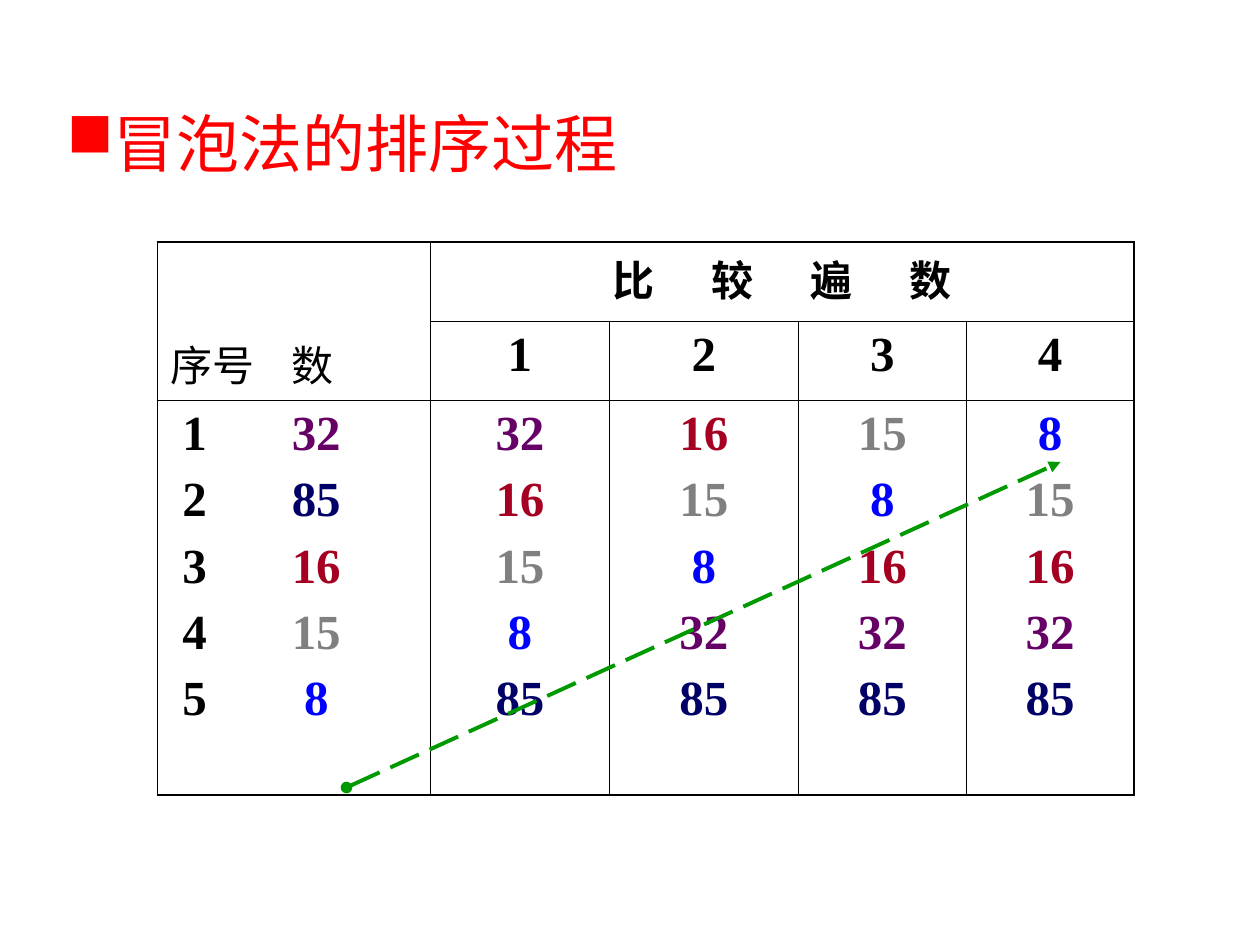
from dataclasses import dataclass, field
from typing import NamedTuple

from lxml import etree
from pptx import Presentation, util as u
from pptx.dml import color as col
from pptx.enum import dml, shapes, text as t
from pptx.oxml import ns


@dataclass(frozen=True)
class Theme:
    black: str = "000000"
    red: str = "FF0000"
    green: str = "009900"
    tints: dict = field(default_factory=lambda: {
        32: "660066", 85: "000066", 16: "A50021", 15: "808080", 8: "0000FF"})
    sans: str = "Roboto"
    serif: str = "Times New Roman"
    title: float = 36
    label: float = 24
    digit: float = 28
    outer: float = 1.08
    inner: float = 0.45


class Run(NamedTuple):
    text: str
    tint: str = "000000"
    gap: float = 0


class Cell(NamedTuple):
    row: int
    col: int
    lines: list
    form: dict
    high: int = 1
    wide: int = 1


THEME = Theme()
ALIGN = t.PP_ALIGN
ANCHOR = t.MSO_ANCHOR


def node(parent, tag: str, **attrs):
    return etree.SubElement(parent, ns.qn(tag), attrs)


def write(frame, lines: list, *, size: float, font: str = THEME.serif,
          bold: bool = False, align=ALIGN.LEFT, before: float = 0,
          tabs: tuple = (), bullet: str = "") -> None:
    """Fill a text frame; each line is a list of runs."""
    for i, line in enumerate(lines):
        para = frame.paragraphs[0] if i == 0 else frame.add_paragraph()
        para.alignment = align
        para.space_before = u.Pt(before)
        props = para._p.get_or_add_pPr()
        if bullet:
            node(node(props, "a:buClr"), "a:srgbClr", val=line[0].tint)
            node(props, "a:buChar", char=bullet)
        if tabs:
            stops = node(props, "a:tabLst")
            for pos, kind in tabs:
                node(stops, "a:tab", pos=str(u.Pt(pos)), algn=kind)
        for part in line:
            run = para.add_run()
            run.text = part.text
            run.font.size = u.Pt(size)
            run.font.name = font
            run.font.bold = bold
            run.font.color.rgb = col.RGBColor.from_string(part.tint)
            if part.gap:
                run._r.get_or_add_rPr().set("spc", str(round(part.gap * 100)))


def frame_cell(cell, edges: dict) -> None:
    """Give a cell its four borders and no fill."""
    props = cell._tc.get_or_add_tcPr()
    for side, outer in edges.items():
        width = THEME.outer if outer else THEME.inner
        line = node(props, "a:ln" + side, w=str(u.Pt(width)))
        node(node(line, "a:solidFill"), "a:srgbClr", val=THEME.black)
    cell.fill.background()


def sort_steps(nums: list[int]) -> list[list[int]]:
    """Return the list after each bubble sort pass."""
    nums, steps = list(nums), []
    for end in range(len(nums) - 1, 0, -1):
        for i in range(end):
            if nums[i] > nums[i + 1]:
                nums[i], nums[i + 1] = nums[i + 1], nums[i]
        steps.append(list(nums))
    return steps


def tinted(num: int, lead: str = "") -> Run:
    return Run(f"{lead}{num}", THEME.tints[num])


def add_grid(slide, cells: list[Cell], widths: list, heights: list) -> None:
    rows, cols = len(heights), len(widths)
    grid = slide.shapes.add_table(rows, cols, u.Pt(90), u.Pt(138.24),
                                  u.Pt(sum(widths)), u.Pt(sum(heights))).table
    grid.first_row = grid.horz_banding = False
    for part, size in zip(grid.columns, widths):
        part.width = u.Pt(size)
    for part, size in zip(grid.rows, heights):
        part.height = u.Pt(size)
    for item in cells:
        if item.high * item.wide > 1:
            grid.cell(item.row, item.col).merge(grid.cell(
                item.row + item.high - 1, item.col + item.wide - 1))
        write(grid.cell(item.row, item.col).text_frame, item.lines, **item.form)
    for r in range(rows):
        for c in range(cols):
            cell = grid.cell(r, c)
            high = cell.span_height if cell.is_merge_origin else 1
            wide = cell.span_width if cell.is_merge_origin else 1
            frame_cell(cell, {"L": c == 0, "R": c + wide == cols,
                              "T": r == 0, "B": r + high == rows})
    grid.cell(0, 0).vertical_anchor = ANCHOR.BOTTOM


def add_arrow(slide, start: tuple, end: tuple) -> None:
    arrow = slide.shapes.add_connector(
        shapes.MSO_CONNECTOR.STRAIGHT, *(u.Pt(v) for v in start + end))
    arrow.line.color.rgb = col.RGBColor.from_string(THEME.green)
    arrow.line.width = u.Pt(2.24)
    arrow.line.dash_style = dml.MSO_LINE.LONG_DASH
    line = arrow.line._get_or_add_ln()
    node(line, "a:headEnd", type="oval")
    node(line, "a:tailEnd", type="triangle")
    node(arrow._element.spPr, "a:effectLst")


deck = Presentation()
deck.slide_width, deck.slide_height = u.Pt(720), u.Pt(540)
slide = deck.slides.add_slide(deck.slide_layouts[6])

# Title
box = slide.shapes.add_textbox(u.Pt(31), u.Pt(48.24), u.Pt(466.56), u.Pt(66.24))
box.text_frame.word_wrap = True
box.text_frame.vertical_anchor = ANCHOR.MIDDLE
write(box.text_frame, [[Run("冒泡法的排序过程", THEME.red)]], size=THEME.title,
      font=THEME.sans, align=ALIGN.JUSTIFY, bullet="■")

# Table of sorting passes
nums = [32, 85, 16, 15, 8]
digits = dict(size=THEME.digit, bold=True, before=7)
middle = dict(digits, align=ALIGN.CENTER)
cells = [
    Cell(0, 0, [[Run("序号\t数")]],
         dict(size=THEME.label, before=6, tabs=((69.5, "l"),)), high=2),
    Cell(0, 1, [[Run("比较遍", gap=32.6), Run("数")]],
         dict(size=THEME.label, bold=True, before=6, align=ALIGN.CENTER), wide=4),
    Cell(2, 0, [[Run(f"\t{i}"), tinted(n, "\t")] for i, n in enumerate(nums, 1)],
         dict(digits, tabs=((14, "ctr"), (83.5, "ctr")))),
]
for turn, step in enumerate(sort_steps(nums), 1):
    cells.append(Cell(1, turn, [[Run(str(turn))]], middle))
    cells.append(Cell(2, turn, [[tinted(n)] for n in step], middle))
add_grid(slide, cells, [156, 102.25, 108, 96, 95.75], [45.2, 45.2, 225.7])

# Path of the smallest number
add_arrow(slide, (198, 450), (606, 264))

deck.save("out.pptx")
